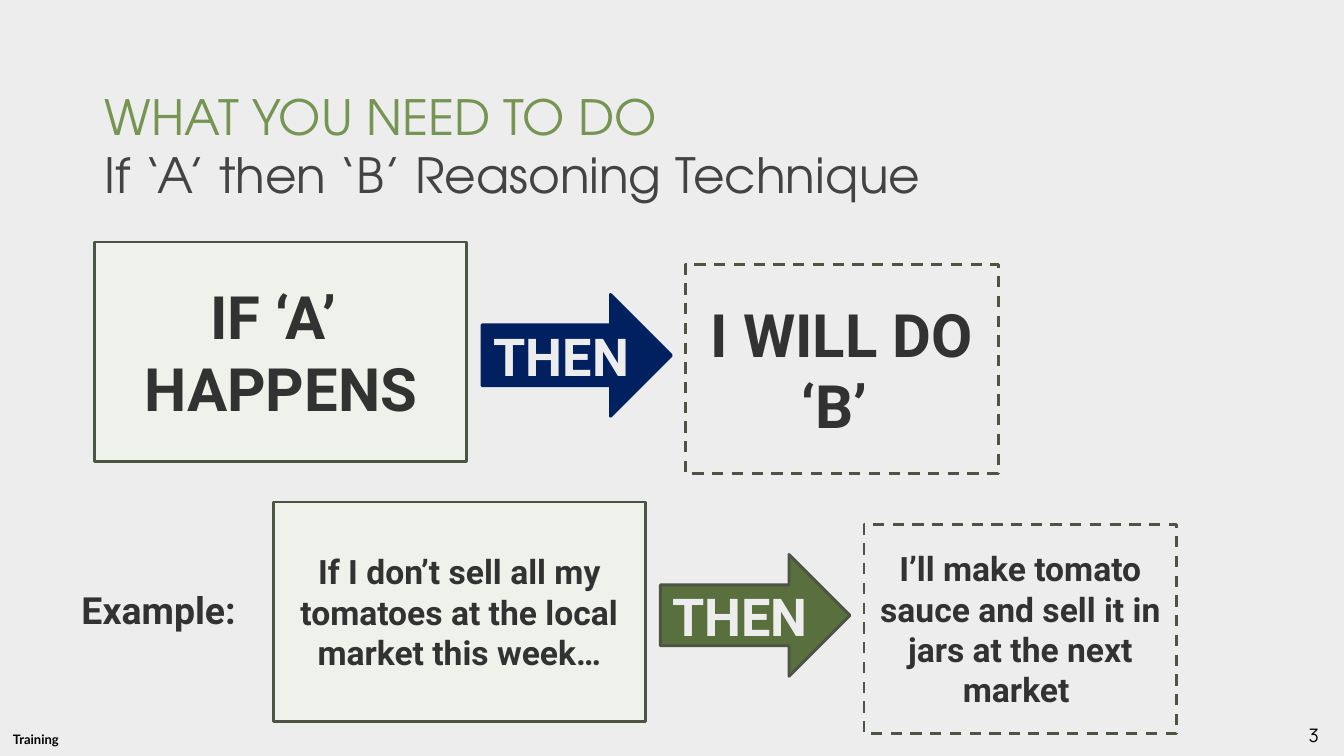
from dataclasses import dataclass

from pptx import Presentation
from pptx.dml.color import RGBColor
from pptx.enum.dml import MSO_LINE
from pptx.enum.shapes import MSO_SHAPE
from pptx.enum.text import MSO_ANCHOR, MSO_AUTO_SIZE, PP_ALIGN
from pptx.shapes.autoshape import Shape
from pptx.slide import Slide
from pptx.text.text import TextFrame
from pptx.util import Emu, Pt

RECTANGLE = MSO_SHAPE.RECTANGLE
RIGHT_ARROW = MSO_SHAPE.RIGHT_ARROW
DASH = MSO_LINE.DASH
LEFT = PP_ALIGN.LEFT
CENTER = PP_ALIGN.CENTER
TOP = MSO_ANCHOR.TOP
MIDDLE = MSO_ANCHOR.MIDDLE
NO_AUTOFIT = MSO_AUTO_SIZE.NONE

BACKGROUND = RGBColor(0xED, 0xED, 0xED)
BLACK = RGBColor(0x00, 0x00, 0x00)
TITLE_GREEN = RGBColor(0x76, 0x94, 0x52)
TITLE_GRAY = RGBColor(0x43, 0x43, 0x43)
BODY_TEXT = RGBColor(0x32, 0x32, 0x32)
PALE_GREEN = RGBColor(0xEF, 0xF2, 0xEB)
OUTLINE = RGBColor(0x4C, 0x54, 0x44)
NAVY = RGBColor(0x00, 0x20, 0x60)
ARROW_GREEN = RGBColor(0x59, 0x6F, 0x3D)

EMU_PER_PX = 9144
TITLE_FONT = "TeX Gyre Adventor"
BODY_FONT = "Roboto"


@dataclass(frozen=True)
class Box:
    left: int
    top: int
    width: int
    height: int

    def moved(self, right: int, down: int) -> "Box":
        return Box(self.left + right, self.top + down, self.width, self.height)

    def lengths(self) -> tuple[Emu, Emu, Emu, Emu]:
        return px(self.left), px(self.top), px(self.width), px(self.height)


@dataclass(frozen=True)
class Reasoning:
    right: int
    down: int
    condition: tuple[str, ...]
    action: str
    size: float
    arrow_fill: RGBColor
    arrow_line: RGBColor


@dataclass(frozen=True)
class Label:
    box: Box
    text: str
    font: str
    size: float
    color: RGBColor
    bold: bool
    wrap: bool


CONDITION_BOX = Box(94, 240, 369, 218)
ARROW_BOX = Box(478, 292, 188, 121)
ACTION_BOX = Box(680, 262, 310, 208)

REASONINGS = (
    Reasoning(0, 0, ("IF ‘A’ ", "HAPPENS"), "I WILL DO ‘B’ ", 42.7, NAVY, NAVY),
    Reasoning(
        177,
        258,
        ("If I don’t sell all my tomatoes at the local market this week…",),
        "I’ll make tomato sauce and sell it in jars at the next market ",
        24,
        ARROW_GREEN,
        OUTLINE,
    ),
)

LABELS = (
    Label(Box(3, 721, 68, 26), "Training", "Lato", 9.3, BLACK, True, False),
    Label(Box(1288, 713, 46, 33), "3", "Manrope", 13.3, BLACK, False, True),
    Label(Box(71, 578, 200, 55), "Example:", BODY_FONT, 26.7, BODY_TEXT, True, True),
)


def px(length: int) -> Emu:
    return Emu(length * EMU_PER_PX)


def write(
    frame: TextFrame,
    *lines: str,
    font: str,
    size: float,
    colors: tuple[RGBColor, ...],
    bold: bool = False,
    align: PP_ALIGN = LEFT,
    anchor: MSO_ANCHOR = TOP,
    wrap: bool = True,
    same_paragraph: bool = False,
) -> None:
    frame.word_wrap = wrap
    frame.auto_size = NO_AUTOFIT
    frame.vertical_anchor = anchor
    paragraph = frame.paragraphs[0]
    for index, line in enumerate(lines):
        if index and same_paragraph:
            paragraph.add_line_break()
        elif index:
            paragraph = frame.add_paragraph()
        paragraph.alignment = align
        run = paragraph.add_run()
        run.text = line
        run.font.name = font
        run.font.size = Pt(size)
        run.font.bold = bold
        run.font.color.rgb = colors[index % len(colors)]


def add_block(
    slide: Slide,
    kind: MSO_SHAPE,
    box: Box,
    lines: tuple[str, ...],
    *,
    size: float,
    color: RGBColor = BODY_TEXT,
    fill: RGBColor | None = None,
    line: RGBColor = OUTLINE,
    dashed: bool = False,
) -> Shape:
    shape = slide.shapes.add_shape(kind, *box.lengths())
    shape.shadow.inherit = False
    if fill is None:
        shape.fill.background()
    else:
        shape.fill.solid()
        shape.fill.fore_color.rgb = fill
    shape.line.color.rgb = line
    shape.line.width = Pt(2)
    if dashed:
        shape.line.dash_style = DASH
    write(shape.text_frame, *lines, font=BODY_FONT, size=size, colors=(color,),
          bold=True, align=CENTER, anchor=MIDDLE)
    return shape


def add_reasoning(slide: Slide, row: Reasoning) -> None:
    offset = (row.right, row.down)
    add_block(slide, RECTANGLE, CONDITION_BOX.moved(*offset), row.condition,
              size=row.size, fill=PALE_GREEN)
    add_block(slide, RIGHT_ARROW, ARROW_BOX.moved(*offset), ("THEN",), size=37.3,
              color=BACKGROUND, fill=row.arrow_fill, line=row.arrow_line)
    add_block(slide, RECTANGLE, ACTION_BOX.moved(*offset), (row.action,),
              size=row.size, dashed=True)


def add_label(slide: Slide, label: Label) -> None:
    text_box = slide.shapes.add_textbox(*label.box.lengths())
    write(text_box.text_frame, label.text, font=label.font, size=label.size,
          colors=(label.color,), bold=label.bold, wrap=label.wrap)


def format_title(slide: Slide) -> None:
    title = slide.shapes.title
    title.left, title.top, title.width, title.height = Box(94, 76, 854, 139).lengths()
    frame = title.text_frame
    frame.margin_left = frame.margin_right = px(10)
    frame.margin_top = frame.margin_bottom = px(10)
    write(frame, "WHAT YOU NEED TO DO", "If ‘A’ then ‘B’ Reasoning Technique",
          font=TITLE_FONT, size=34.7, colors=(TITLE_GREEN, TITLE_GRAY),
          same_paragraph=True)


def main() -> None:
    presentation = Presentation()
    presentation.slide_width = px(1333)
    presentation.slide_height = px(750)
    slide = presentation.slides.add_slide(presentation.slide_layouts[5])
    slide.background.fill.solid()
    slide.background.fill.fore_color.rgb = BACKGROUND
    format_title(slide)
    for row in REASONINGS:
        add_reasoning(slide, row)
    for label in LABELS:
        add_label(slide, label)
    presentation.save("out.pptx")


if __name__ == "__main__":
    main()
